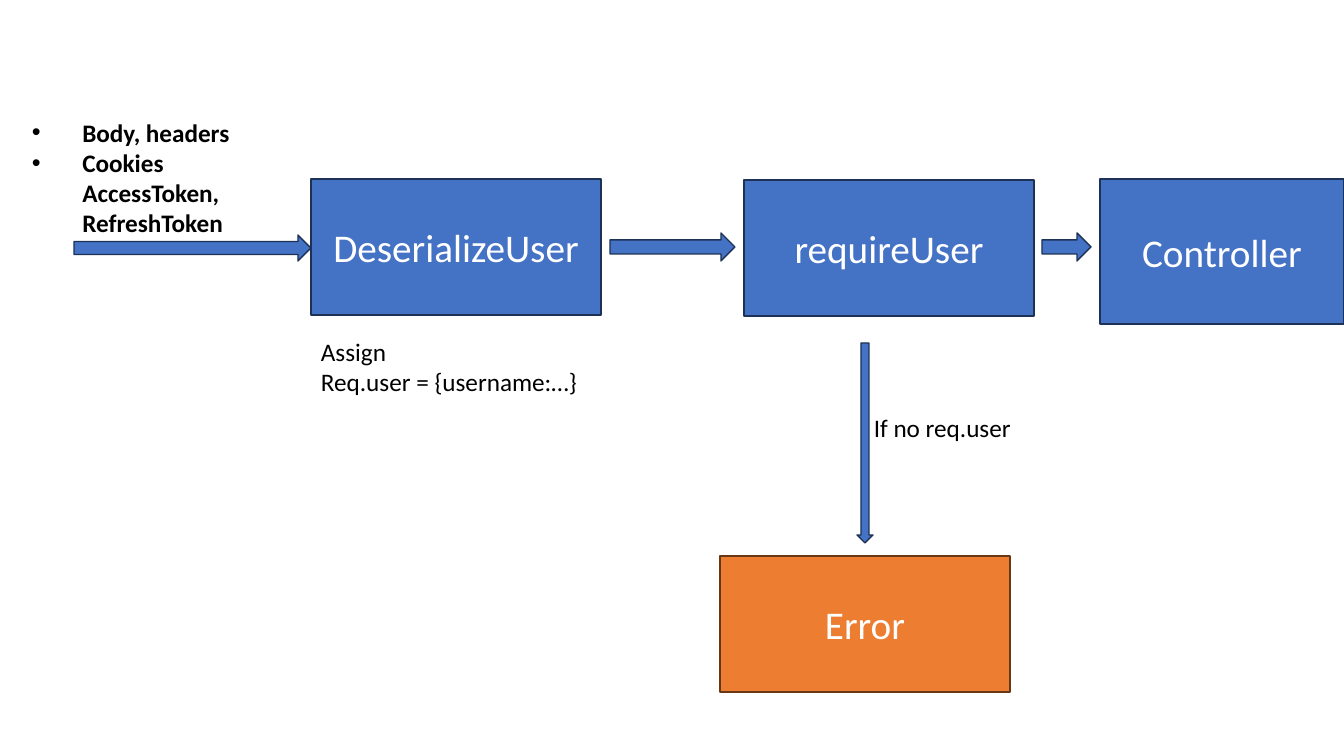
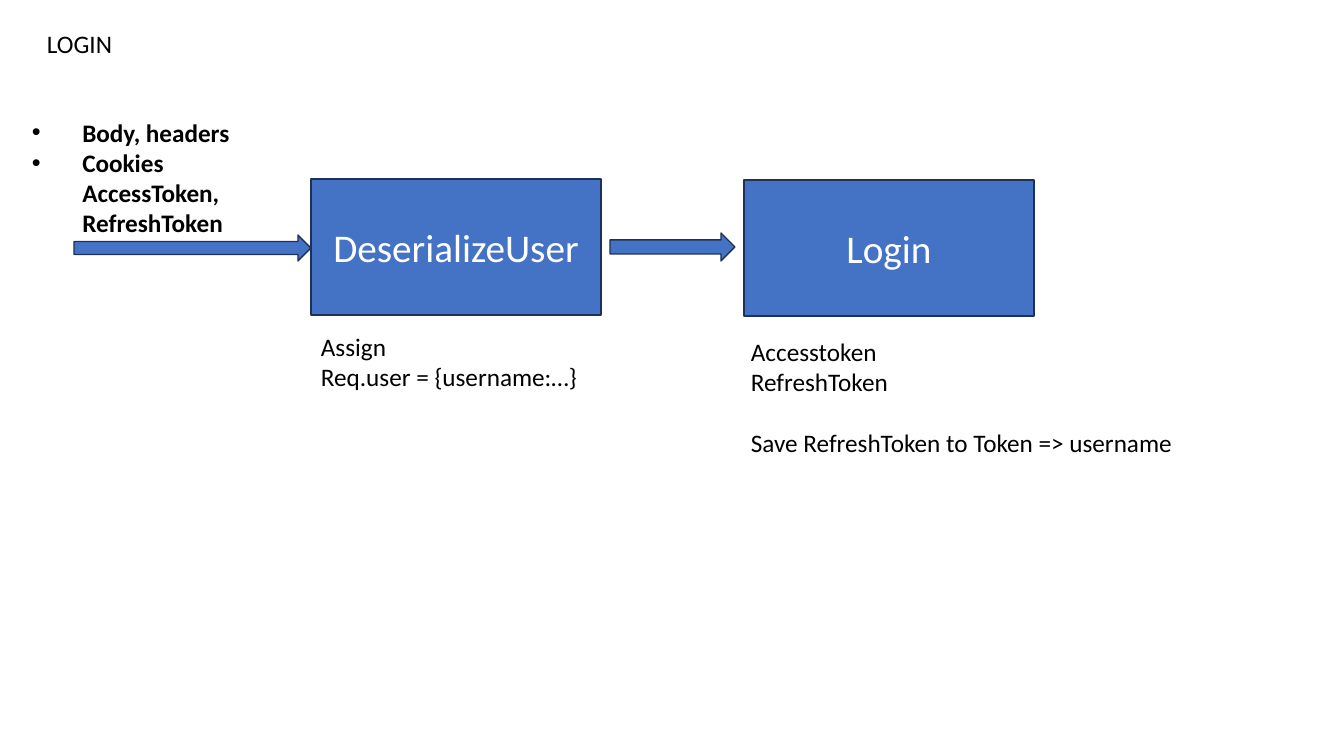
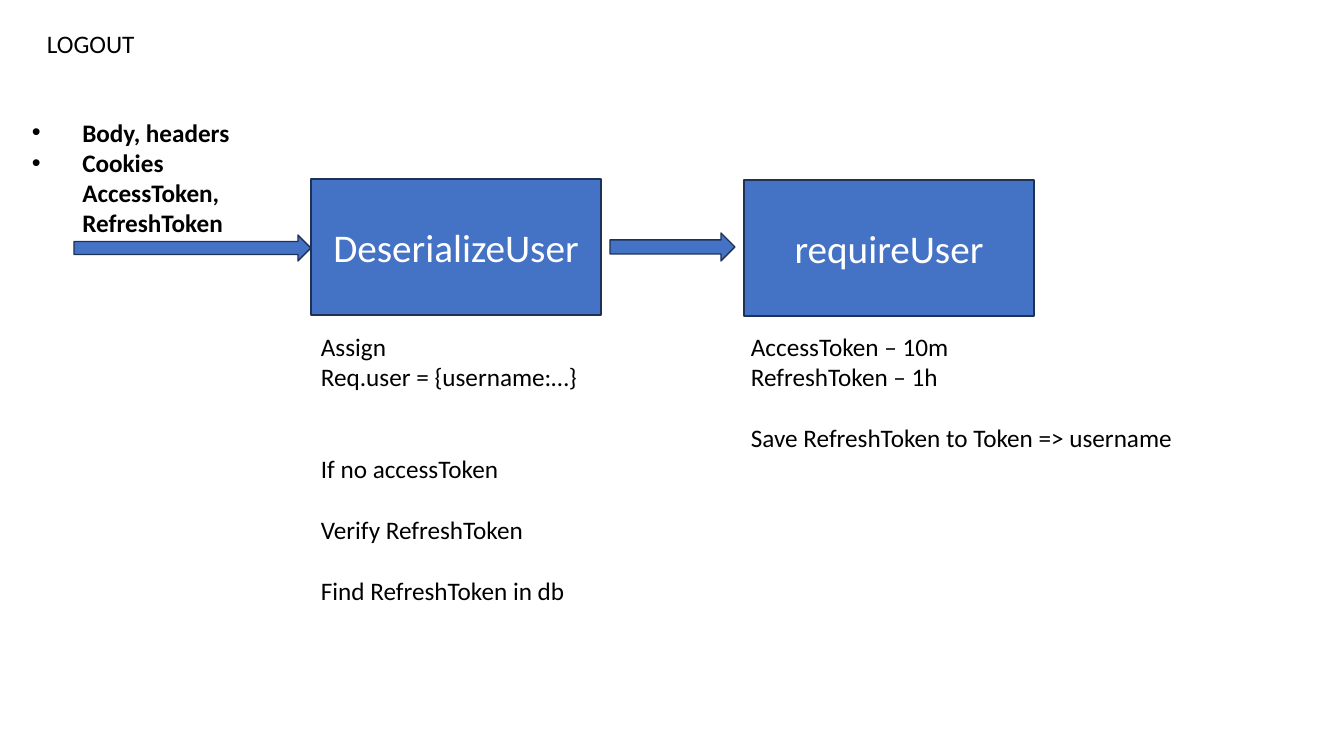
from lxml.etree import SubElement
from pptx import Presentation
from pptx.dml.color import RGBColor
from pptx.enum.shapes import MSO_SHAPE
from pptx.enum.text import MSO_ANCHOR, MSO_AUTO_SIZE, PP_ALIGN
from pptx.oxml.ns import qn
from pptx.util import Emu, Pt

COLORS = {
    "blue": "4472C4", "navy": "1E3256",
    "orange": "ED7D31", "brown": "683715",
    "white": "FFFFFF", "black": "000000",
}
FONT = "Calibri"
SCALE = 12192000 / 1344
LINE = 22
STEP_W, STEP_H = 290, 136


def px(size):
    """Turn pixels into EMU."""
    return Emu(round(size * SCALE))


def color(name):
    """Look up a colour by name."""
    return RGBColor.from_string(COLORS[name])


def style(frame, size, tone, bold=False):
    """Format every run of a text frame."""
    for para in frame.paragraphs:
        for run in para.runs:
            font = run.font
            font.name, font.size, font.bold = FONT, Pt(size), bold
            font.color.rgb = color(tone)


def block(slide, kind, box, fill="blue", edge="navy"):
    """Draw a filled and outlined shape."""
    shape = slide.shapes.add_shape(kind, *map(px, box))
    shape.shadow.inherit = False
    shape.fill.solid()
    shape.fill.fore_color.rgb = color(fill)
    shape.line.color.rgb = color(edge)
    shape.line.width = Pt(1)
    return shape


def step(slide, box, name, fill="blue", edge="navy"):
    """Draw a named step of the flow."""
    frame = block(slide, MSO_SHAPE.RECTANGLE, box, fill, edge).text_frame
    frame.word_wrap = True
    frame.vertical_anchor = MSO_ANCHOR.MIDDLE
    frame.text = name
    frame.paragraphs[0].alignment = PP_ALIGN.CENTER
    style(frame, 28, "white")


def note(slide, box, text, gaps=None, bold=False):
    """Write plain text, with gaps in lines before chosen paragraphs."""
    frame = slide.shapes.add_textbox(*map(px, box)).text_frame
    frame.word_wrap = True
    frame.auto_size = MSO_AUTO_SIZE.SHAPE_TO_FIT_TEXT
    frame.text = text
    for index, count in (gaps or {}).items():
        frame.paragraphs[index].space_before = Pt(LINE * count)
    style(frame, 18, "black", bold)
    return frame


def inputs(slide, box):
    """List what the request carries."""
    frame = note(slide, box, "Body, headers\nCookies AccessToken, RefreshToken",
                 bold=True)
    for para in frame.paragraphs:
        props = para._p.get_or_add_pPr()
        props.set("marL", "457200")
        props.set("indent", "-457200")
        SubElement(props, qn("a:buFont")).set("typeface", "Arial")
        SubElement(props, qn("a:buChar")).set("char", "•")


def flow(slide, box, name):
    """Draw the request, the first step and the step that follows."""
    left, top, width, height = box
    first, last = left + 289, left + width - STEP_W
    block(slide, MSO_SHAPE.RIGHT_ARROW, (left + 52, top + 123, 237, 26))
    step(slide, (first, top + 67, STEP_W, STEP_H), "DeserializeUser")
    block(slide, MSO_SHAPE.RIGHT_ARROW, (first + 299, top + 121, 125, 28))
    inputs(slide, (left, top, 260, 132))
    step(slide, (last, top + height - STEP_H, STEP_W, STEP_H), name)


def guard(slide, box):
    """Draw the way on to the controller and the way down to the error."""
    left, top, width, height = box
    block(slide, MSO_SHAPE.RIGHT_ARROW, (left + 322, top + 54, 49, 28))
    step(slide, (left + width - 244, top, 244, 145), "Controller")
    block(slide, MSO_SHAPE.DOWN_ARROW, (left + 137, top + 164, 16, 200))
    step(slide, (left, top + height - STEP_H, STEP_W, STEP_H),
         "Error", "orange", "brown")
    note(slide, (left + 144, top + 228, 190, 40), "If no req.user")


def page(deck, name, title=None):
    """Add a slide with the shared flow and an optional title."""
    slide = deck.slides.add_slide(deck.slide_layouts[6])
    flow(slide, (22, 112, 1012, 204), name)
    if title:
        note(slide, (37, 23, 347, 40), title)
    return slide


def main():
    """Build and save the deck."""
    deck = Presentation()
    deck.slide_width, deck.slide_height = px(1344), px(756)
    assign = "Assign\nReq.user = {username:…}"
    keep = "Save RefreshToken to Token => username"

    check = page(deck, "requireUser")
    note(check, (311, 331, 347, 71), assign)
    guard(check, (720, 179, 624, 513))

    login = page(deck, "Login", "LOGIN")
    note(login, (311, 326, 347, 71), assign)
    note(login, (741, 331, 603, 132),
         f"Accesstoken\nRefreshToken\n{keep}", {2: 1})

    logout = page(deck, "requireUser", "LOGOUT")
    checks = "If no accessToken\nVerify RefreshToken\nFind RefreshToken in db"
    note(logout, (311, 326, 347, 315), f"{assign}\n{checks}",
         {2: 2, 3: 1, 4: 1})
    note(logout, (741, 326, 603, 132),
         f"AccessToken – 10m\nRefreshToken – 1h\n{keep}", {2: 1})

    deck.save("out.pptx")


main()
